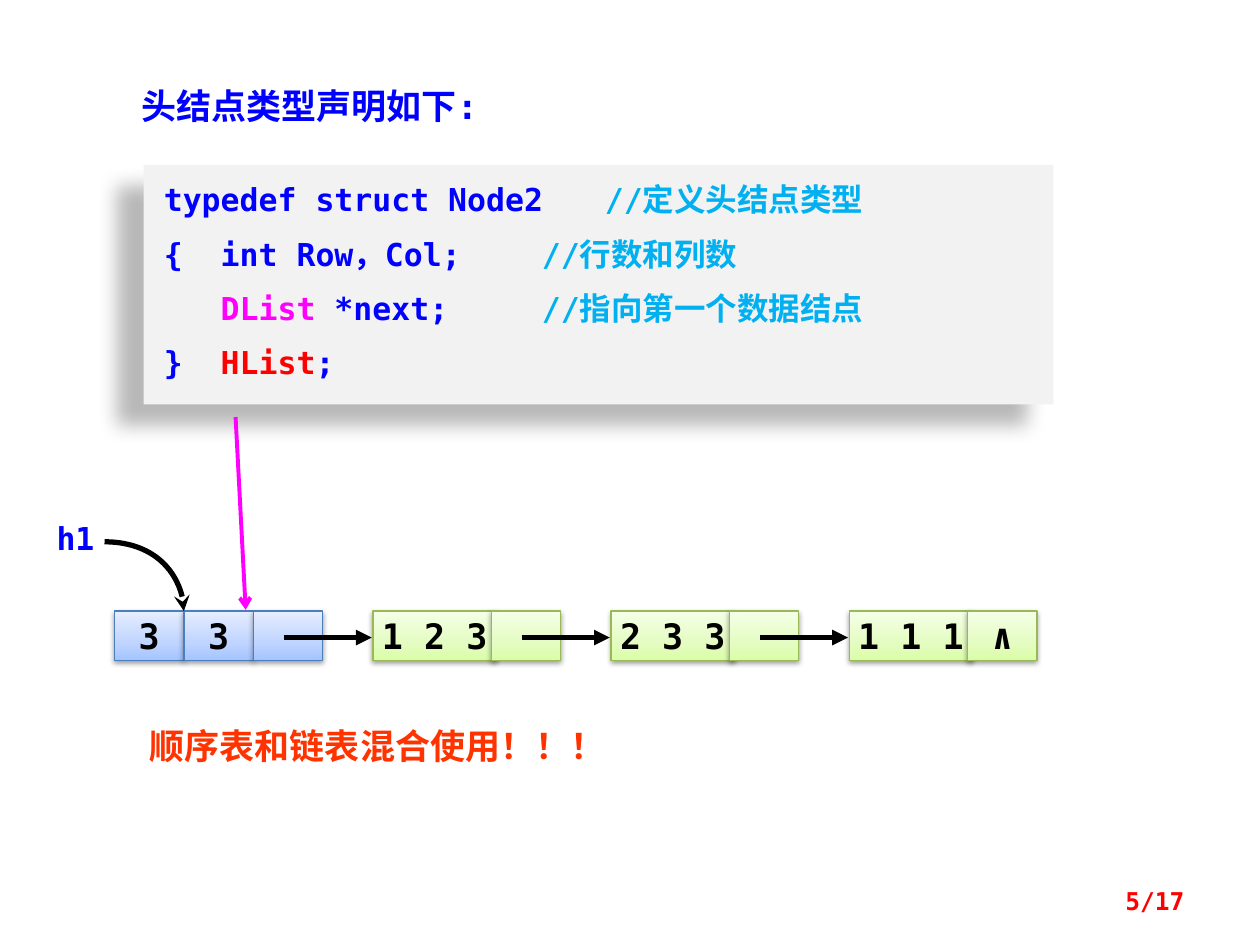
from lxml.etree import SubElement
from pptx import Presentation
from pptx.dml.color import RGBColor
from pptx.enum.shapes import MSO_CONNECTOR, MSO_SHAPE
from pptx.enum.text import MSO_ANCHOR, MSO_AUTO_SIZE, PP_ALIGN
from pptx.oxml.ns import qn
from pptx.util import Inches, Pt

FONT = "DejaVu Sans Mono"
BLUE = RGBColor(0x00, 0x00, 0xFF)
CYAN = RGBColor(0x00, 0xB0, 0xF0)
MAGENTA = RGBColor(0xFF, 0x00, 0xFF)
RED = RGBColor(0xFF, 0x00, 0x00)
ORANGE = RGBColor(0xFF, 0x33, 0x00)
BLACK = RGBColor(0x00, 0x00, 0x00)
PALE_GREY = RGBColor(0xF2, 0xF2, 0xF2)
HEAD_EDGE = RGBColor(0x4B, 0x7E, 0xBC)
DATA_EDGE = RGBColor(0x98, 0xB9, 0x55)
HEAD_STOPS = ((0, "A4C4FF"), (35, "BFD4FF"), (100, "E6EEFF"))
DATA_STOPS = ((0, "DAFDA7"), (35, "E4FCC2"), (100, "F5FFE7"))

ROW_TOP, CELL_HEIGHT, CELL_WIDTH = 4.85, 0.39, 0.55
DATA_WIDTH, NODE_PITCH = 0.98, 1.89

CODE = (
    (("typedef struct Node2\t", BLUE), ("//定义头结点类型", CYAN)),
    (("{  int Row，Col;\t\t", BLUE), ("//行数和列数", CYAN)),
    (("   ", BLUE), ("DList ", MAGENTA), ("*next;\t\t", BLUE),
     ("//指向第一个数据结点", CYAN)),
    (("}  ", BLUE), ("HList", RED), (";", BLUE)),
)


def style(paragraph, size, color=None, align=PP_ALIGN.LEFT):
    paragraph.alignment = align
    font = paragraph.font
    font.name, font.size, font.bold = FONT, Pt(size), True
    if color is not None:
        font.color.rgb = color


def add_shadow(shape, alpha, blur, distance, angle):
    shape.shadow.inherit = False
    effects = shape._element.spPr.find(qn("a:effectLst"))
    outer = SubElement(effects, qn("a:outerShdw"), blurRad=str(Pt(blur)),
                       dist=str(Pt(distance)), dir=str(angle * 60000),
                       rotWithShape="0")
    black = SubElement(outer, qn("a:srgbClr"), val="000000")
    SubElement(black, qn("a:alpha"), val=str(alpha * 1000))


def set_gradient(shape, stops):
    shape.fill.gradient()
    shape.fill.gradient_angle = 90
    stop_list = shape._element.spPr.find(".//" + qn("a:gsLst"))
    for old_stop in list(stop_list):
        stop_list.remove(old_stop)
    for position, color in stops:
        stop = SubElement(stop_list, qn("a:gs"), pos=str(position * 1000))
        SubElement(stop, qn("a:srgbClr"), val=color)


def set_stroke(shape, color, width, head):
    shape.line.color.rgb = color
    shape.line.width = Pt(width)
    SubElement(shape.line._get_or_add_ln(), qn("a:tailEnd"), type=head)


def add_label(slide, text, left, top, width, height, size, color,
              align=PP_ALIGN.LEFT, anchor=MSO_ANCHOR.TOP):
    frame = slide.shapes.add_textbox(
        Inches(left), Inches(top), Inches(width), Inches(height)).text_frame
    frame.word_wrap = True
    frame.vertical_anchor = anchor
    frame.text = text
    style(frame.paragraphs[0], size, color, align)


def add_heading(slide, text):
    heading = slide.shapes.title
    heading.left, heading.top = Inches(1.02), Inches(0.62)
    heading.width, heading.height = Inches(4.88), Inches(0.44)
    frame = heading.text_frame
    frame.auto_size = MSO_AUTO_SIZE.NONE
    frame.vertical_anchor = MSO_ANCHOR.TOP
    frame.text = text
    style(frame.paragraphs[0], 20, BLUE)


def add_code(slide, lines):
    panel = slide.shapes.add_shape(MSO_SHAPE.RECTANGLE, Inches(1.14),
                                   Inches(1.31), Inches(7.22), Inches(1.9))
    panel.fill.solid()
    panel.fill.fore_color.rgb = PALE_GREY
    panel.line.fill.background()
    add_shadow(panel, 28, 11.8, 19.7, 141)
    frame = panel.text_frame
    frame.word_wrap = True
    frame.vertical_anchor = MSO_ANCHOR.TOP
    frame.margin_left = frame.margin_right = Inches(0.16)
    frame.margin_top = frame.margin_bottom = Inches(0.12)
    for number, line in enumerate(lines):
        paragraph = frame.add_paragraph() if number else frame.paragraphs[0]
        style(paragraph, 18)
        if number:
            paragraph.space_before = Pt(9.5)
        for text, color in line:
            run = paragraph.add_run()
            run.text = text
            run.font.color.rgb = color


def add_cell(slide, text, left, width, stops, edge):
    cell = slide.shapes.add_shape(MSO_SHAPE.RECTANGLE, Inches(left),
                                  Inches(ROW_TOP), Inches(width),
                                  Inches(CELL_HEIGHT))
    set_gradient(cell, stops)
    cell.line.color.rgb = edge
    cell.line.width = Pt(0.75)
    add_shadow(cell, 38, 3.1, 1.6, 90)
    if text:
        frame = cell.text_frame
        frame.word_wrap = False
        frame.vertical_anchor = MSO_ANCHOR.MIDDLE
        frame.text = text
        style(frame.paragraphs[0], 20, BLACK, PP_ALIGN.CENTER)


def add_arrow(slide, start, end, color, width, head):
    arrow = slide.shapes.add_connector(
        MSO_CONNECTOR.STRAIGHT, *(Inches(value) for value in start + end))
    set_stroke(arrow, color, width, head)
    SubElement(arrow._element.spPr, qn("a:effectLst"))


def add_curved_arrow(slide, left, top, width, height):
    """Draw a quarter ellipse that leaves to the right and ends downwards."""
    builder = slide.shapes.build_freeform(Inches(left), Inches(top))
    builder.add_line_segments(
        [(Inches(left + width), Inches(top + height))], close=False)
    curve = builder.convert_to_shape()
    # Turn the straight segment into a Bezier curve
    segment = curve._element.spPr.find(".//" + qn("a:lnTo"))
    segment.tag = qn("a:cubicBezTo")
    for position, (x, y) in enumerate(((0.55 * width, 0), (width, 0.45 * height))):
        control = SubElement(segment, qn("a:pt"),
                             x=str(Inches(x)), y=str(Inches(y)))
        segment.insert(position, control)
    curve.fill.background()
    set_stroke(curve, BLACK, 3, "stealth")
    curve.shadow.inherit = False


def add_linked_list(slide):
    # Head node: rows, columns, pointer
    for column, text in enumerate(("3", "3", "")):
        add_cell(slide, text, 0.91 + column * CELL_WIDTH, CELL_WIDTH,
                 HEAD_STOPS, HEAD_EDGE)
    # Data nodes, each reached by an arrow from the node before
    for number, (triple, pointer) in enumerate(
            (("1 2 3", ""), ("2 3 3", ""), ("1 1 1", "∧"))):
        left = 2.96 + number * NODE_PITCH
        add_cell(slide, triple, left, DATA_WIDTH, DATA_STOPS, DATA_EDGE)
        add_cell(slide, pointer, left + 0.94, CELL_WIDTH, DATA_STOPS, DATA_EDGE)
        add_arrow(slide, (left - 0.71, 5.06), (left - 0.01, 5.06),
                  BLACK, 3, "triangle")


def main():
    presentation = Presentation()
    presentation.slide_width, presentation.slide_height = Inches(10), Inches(7.5)
    slide = presentation.slides.add_slide(presentation.slide_layouts[5])

    # Type declaration
    add_heading(slide, "头结点类型声明如下:")
    add_code(slide, CODE)

    # Linked list and the pointers to its head
    add_linked_list(slide)
    add_label(slide, "h1", 0.35, 4.07, 0.71, 0.4, 18, BLUE)
    add_curved_arrow(slide, 0.83, 4.3, 0.63, 0.55)
    add_arrow(slide, (1.87, 3.31), (1.95, 4.84), MAGENTA, 2.25, "arrow")

    # Conclusion and page number
    add_label(slide, "顺序表和链表混合使用！！！", 1.09, 5.7, 4.8, 0.44, 20, ORANGE)
    add_label(slide, "5/17", 7.17, 6.95, 2.33, 0.4, 14, RED,
              PP_ALIGN.RIGHT, MSO_ANCHOR.MIDDLE)

    presentation.save("out.pptx")


main()
